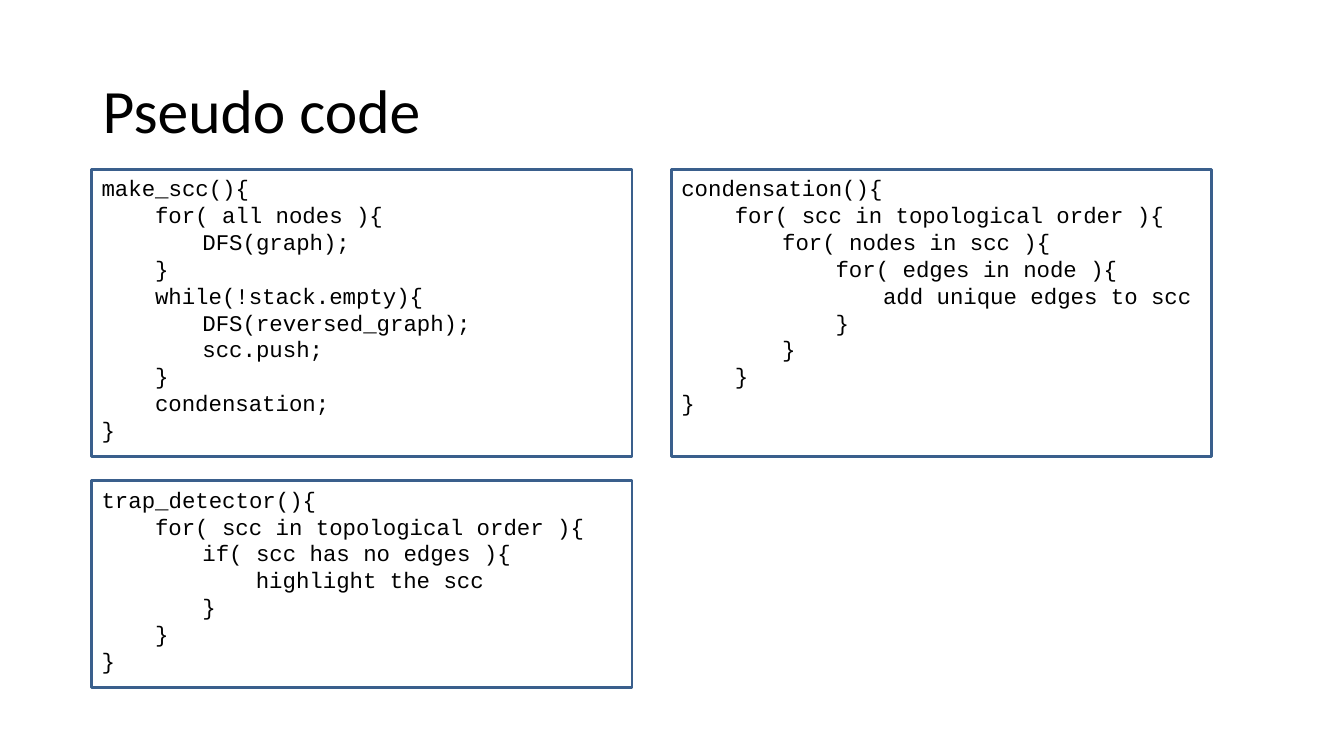
from dataclasses import dataclass

from pptx import Presentation
from pptx.dml.color import RGBColor
from pptx.enum.shapes import MSO_SHAPE as Shape
from pptx.enum.text import MSO_ANCHOR as Anchor, PP_ALIGN as Align
from pptx.util import Inches, Pt


@dataclass(frozen=True)
class Theme:
    ink: RGBColor = RGBColor(0, 0, 0)
    frame: RGBColor = RGBColor.from_string("3A5F8C")
    frame_width: int = 2
    heading_font: str = "Calibri"
    heading_size: int = 44
    code_font: str = "Courier New"
    code_size: int = 16


@dataclass(frozen=True)
class Grid:
    left: float = 0.91
    top: float = 1.68
    column_width: float = 5.36
    column_gap: float = 0.39
    row_heights: tuple = (2.85, 2.05)
    row_gap: float = 0.24

    def cell(self, column, row):
        left = self.left + column * (self.column_width + self.column_gap)
        top = self.top + sum(self.row_heights[:row]) + row * self.row_gap
        return [Inches(n) for n in (left, top, self.column_width, self.row_heights[row])]


THEME = Theme()
GRID = Grid()
TAB_STOP = 1.0
HALF_TAB = 0.53

MAKE_SCC = (
    "make_scc(){",
    "for( all nodes ){",
    "DFS(graph);",
    "}",
    "while(!stack.empty){",
    "DFS(reversed_graph);",
    "scc.push;",
    "}",
    "condensation;",
    "}",
)
CONDENSATION = (
    "condensation(){",
    "for( scc in topological order ){",
    "for( nodes in scc ){",
    "for( edges in node ){",
    "add unique edges to scc",
    "}",
    "}",
    "}",
    "}",
)
TRAP_DETECTOR = (
    "trap_detector(){",
    "for( scc in topological order ){",
    "if( scc has no edges ){",
    "highlight the scc",
    "}",
    "}",
    "}",
)


def write(paragraph, words, font, size):
    run = paragraph.add_run()
    run.text = words
    run.font.name = font
    run.font.size = Pt(size)
    run.font.color.rgb = THEME.ink


def indent(paragraph, depth):
    tabs, halves = divmod(depth, 2)
    margin = Inches(tabs * TAB_STOP + halves * HALF_TAB)
    properties = paragraph._p.get_or_add_pPr()
    properties.set("marL", str(margin))
    properties.set("indent", "0")


def add_heading(slide, words):
    heading = slide.shapes.add_textbox(*map(Inches, (0.92, 0.4, 11.5, 1.45)))
    frame = heading.text_frame
    frame.word_wrap = True
    frame.vertical_anchor = Anchor.MIDDLE
    line = frame.paragraphs[0]
    line.line_spacing = 0.9
    write(line, words, THEME.heading_font, THEME.heading_size)


def add_code_panel(slide, column, row, code):
    panel = slide.shapes.add_shape(Shape.RECTANGLE, *GRID.cell(column, row))
    panel.shadow.inherit = False
    panel.fill.background()
    panel.line.color.rgb = THEME.frame
    panel.line.width = Pt(THEME.frame_width)
    frame = panel.text_frame
    frame.word_wrap = True
    frame.vertical_anchor = Anchor.TOP
    depth = 0
    for number, statement in enumerate(code):
        line = frame.add_paragraph() if number else frame.paragraphs[0]
        line.alignment = Align.LEFT
        depth -= statement.startswith("}")
        indent(line, depth)
        depth += statement.endswith("{")
        write(line, statement, THEME.code_font, THEME.code_size)


def main():
    deck = Presentation()
    deck.slide_width, deck.slide_height = Inches(13.33), Inches(7.5)
    slide = deck.slides.add_slide(deck.slide_layouts[6])
    add_heading(slide, "Pseudo code")
    add_code_panel(slide, 1, 0, CONDENSATION)
    add_code_panel(slide, 0, 0, MAKE_SCC)
    add_code_panel(slide, 0, 1, TRAP_DETECTOR)
    deck.save("out.pptx")


main()
